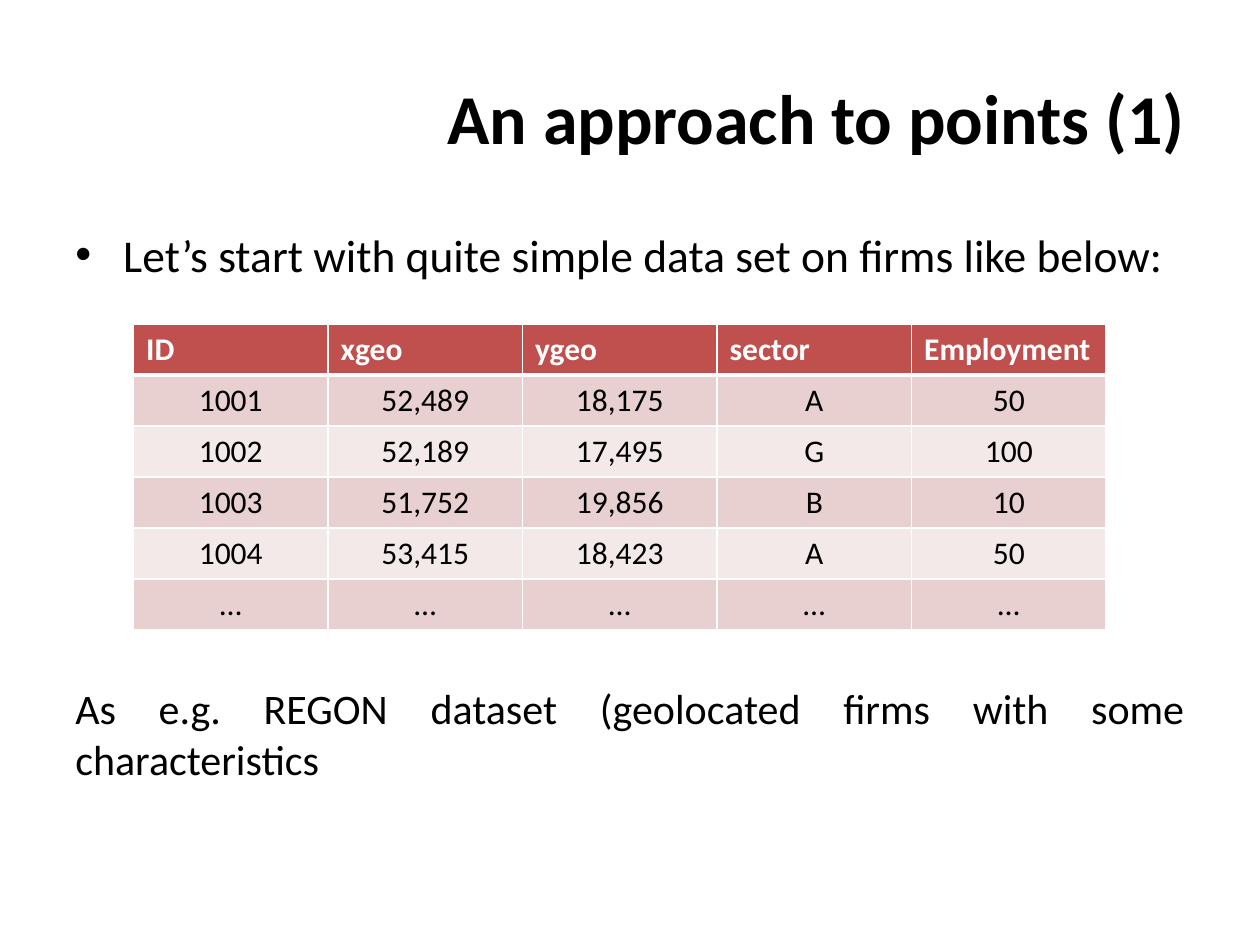
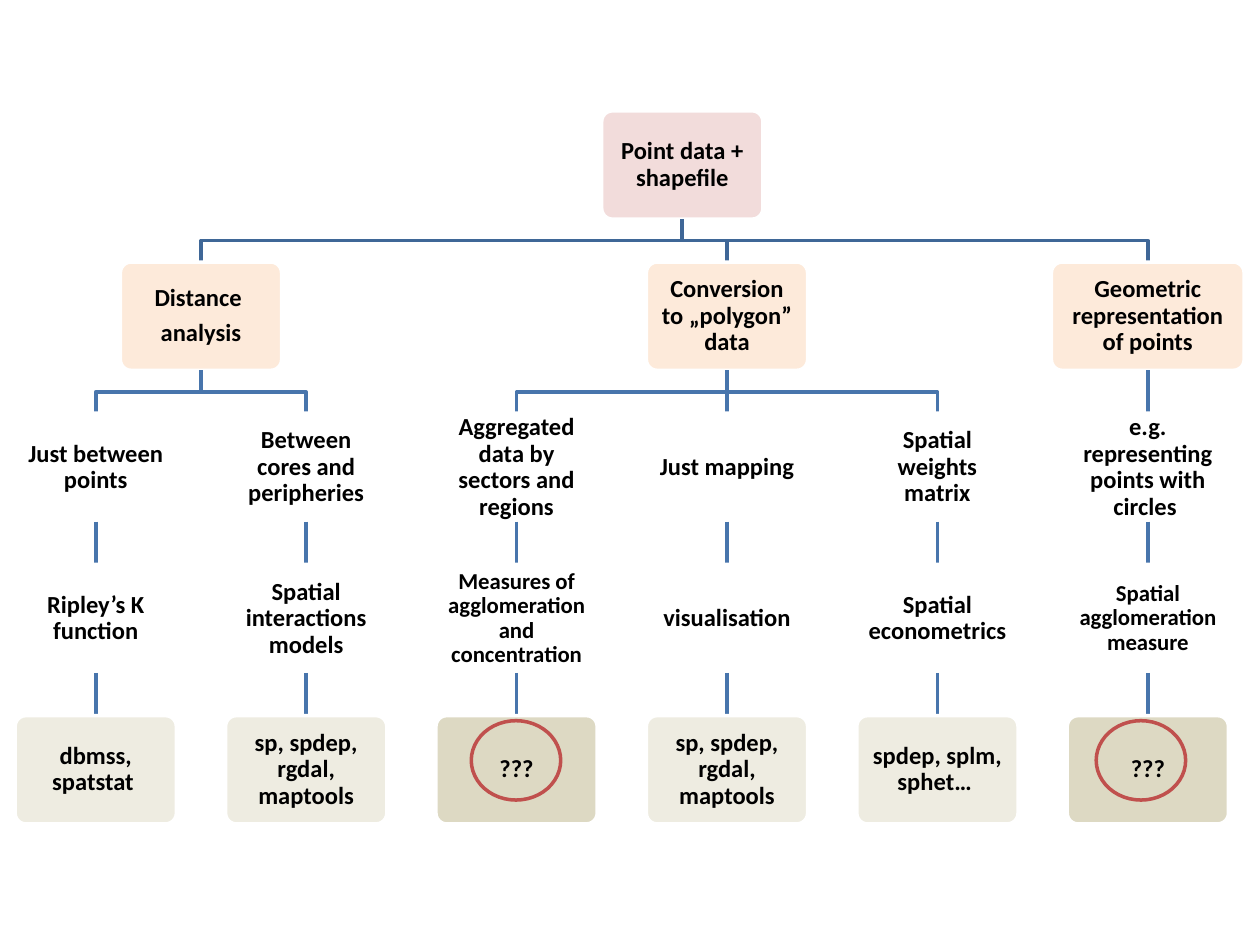
from dataclasses import dataclass, field

from pptx import Presentation
from pptx import util as u
from pptx.dml import color
from pptx.enum import shapes, text
from pptx.oxml import ns
from lxml import etree

FONT = "Calibri"
BLACK, WHITE, RED = "000000", "FFFFFF", "C0504D"
BAND_FILLS = ("E8D0D0", "F4E9E9")
LEVEL_FILLS = ("F2DCDB", "FDEADA", WHITE, WHITE, "EEECE1")
OPEN_QUESTION_FILL = "DDD9C3"
TRUNK, BRANCH = "3F6797", "4875AC"

# Tree grid, in inches
FIRST_CENTRE, COLUMN_STEP = 0.76, 1.67
NODE_WIDTH, NODE_HEIGHT, LEVEL_STEP = 1.28, 0.86, 1.2

FIRMS = (
    ("ID", "xgeo", "ygeo", "sector", "Employment"),
    ("1001", "52,489", "18,175", "A", "50"),
    ("1002", "52,189", "17,495", "G", "100"),
    ("1003", "51,752", "19,856", "B", "10"),
    ("1004", "53,415", "18,423", "A", "50"),
    ("…",) * 5,
)


@dataclass
class Node:
    label: str
    children: list = field(default_factory=list)
    width: float = NODE_WIDTH
    centre: float = 0


def chain(*labels):
    """Nest labels so that each one is the only child of the one before."""
    node = None
    for label in reversed(labels):
        node = Node(label, [node] if node else [])
    return node


TREE = Node("Point data + shapefile", [
    Node("Distance \nanalysis", [
        chain("Just between points", "Ripley’s K function", "dbmss, spatstat "),
        chain("Between cores and peripheries", "Spatial interactions models",
              "sp, spdep, rgdal, maptools"),
    ]),
    Node("Conversion to „polygon” data", [
        chain("Aggregated data by sectors and regions",
              "Measures of agglomeration and concentration", "???"),
        chain("Just mapping", "visualisation", "sp, spdep, rgdal, maptools"),
        chain("Spatial weights matrix", "Spatial econometrics ",
              "spdep, splm, sphet… "),
    ]),
    Node("Geometric representation of points", [
        chain("e.g. representing points with circles ",
              "Spatial agglomeration measure", "???"),
    ], width=1.53),
])


def rgb(value):
    return color.RGBColor.from_string(value)


def inches(*values):
    return [u.Inches(value) for value in values]


def write(frame, content, size, ink=BLACK, bold=False, **paragraph_format):
    """Fill a text frame, one paragraph for each line of content."""
    frame.word_wrap = True
    for index, line in enumerate(content.split("\n")):
        para = frame.add_paragraph() if index else frame.paragraphs[0]
        for name, value in paragraph_format.items():
            setattr(para, name, value)
        span = para.add_run()
        span.text = line
        for name, value in dict(name=FONT, size=u.Pt(size), bold=bold).items():
            setattr(span.font, name, value)
        span.font.color.rgb = rgb(ink)


def add_text(page, box, content, size, anchor=text.MSO_ANCHOR.TOP, **style):
    frame = page.shapes.add_textbox(*inches(*box)).text_frame
    frame.vertical_anchor = anchor
    write(frame, content, size, **style)
    return frame


def add_bullet(para, indent):
    properties = para._p.get_or_add_pPr()
    properties.set("marL", str(u.Inches(indent)))
    properties.set("indent", str(-u.Inches(indent)))
    for tag, attributes in (("a:buFont", {"typeface": "Arial"}),
                            ("a:buChar", {"char": "•"})):
        etree.SubElement(properties, ns.qn(tag), attributes)


def set_borders(cell, bottom):
    """Draw white cell borders; they must come before the fill."""
    properties = cell._tc.get_or_add_tcPr()
    for side, width in dict(lnL=1, lnR=1, lnT=1, lnB=bottom).items():
        line = etree.SubElement(properties, ns.qn(f"a:{side}"), w=str(u.Pt(width)))
        fill = etree.SubElement(line, ns.qn("a:solidFill"))
        etree.SubElement(fill, ns.qn("a:srgbClr"), val=WHITE)


def add_firm_table(page, box):
    table = page.shapes.add_table(len(FIRMS), len(FIRMS[0]), *inches(*box)).table
    for row, values in enumerate(FIRMS):
        header = row == 0
        for column, value in enumerate(values):
            cell = table.cell(row, column)
            set_borders(cell, 3 if header else 1)
            cell.fill.solid()
            cell.fill.fore_color.rgb = rgb(RED if header else BAND_FILLS[(row - 1) % 2])
            write(cell.text_frame, value, 18, WHITE if header else BLACK, header,
                  alignment=text.PP_ALIGN.LEFT if header else text.PP_ALIGN.CENTER)


def style_shape(shape, line, fill=None):
    shape.shadow.inherit = False
    if fill:
        shape.fill.solid()
        shape.fill.fore_color.rgb = rgb(fill)
    else:
        shape.fill.background()
    shape.line.color.rgb = rgb(line)
    shape.line.width = u.Pt(2)


def place(node, columns):
    """Give leaves the next column and centre parents over their children."""
    if not node.children:
        node.centre = FIRST_CENTRE + COLUMN_STEP * next(columns)
        return
    for child in node.children:
        place(child, columns)
    first, last = node.children[0], node.children[-1]
    node.centre = (first.centre - first.width / 2 + last.centre + last.width / 2) / 2


def add_link(page, start, end, top, ink):
    bottom = top + LEVEL_STEP - NODE_HEIGHT
    if abs(start - end) < 0.01:
        link = page.shapes.add_connector(shapes.MSO_CONNECTOR.STRAIGHT,
                                         *inches(start, top, end, bottom))
        etree.SubElement(link._element.spPr, ns.qn("a:effectLst"))
        link.line.color.rgb = rgb(ink)
        link.line.width = u.Pt(2)
        return
    middle = (top + bottom) / 2
    builder = page.shapes.build_freeform(*inches(start, top))
    builder.add_line_segments(
        [inches(start, middle), inches(end, middle), inches(end, bottom)], close=False)
    style_shape(builder.convert_to_shape(), ink)


def add_node(page, node, top, level=0):
    box = (node.centre - node.width / 2, top, node.width, NODE_HEIGHT)
    shape = page.shapes.add_shape(shapes.MSO_SHAPE.ROUNDED_RECTANGLE, *inches(*box))
    shape.adjustments[0] = 0.1
    style_shape(shape, WHITE,
                OPEN_QUESTION_FILL if node.label == "???" else LEVEL_FILLS[level])
    frame = shape.text_frame
    frame.vertical_anchor = text.MSO_ANCHOR.MIDDLE
    for side in ("left", "right", "top", "bottom"):
        setattr(frame, f"margin_{side}", u.Inches(0.06))
    write(frame, node.label, 13 if "agglomeration" in node.label else 14, bold=True,
          alignment=text.PP_ALIGN.CENTER, line_spacing=0.9, space_after=u.Pt(5))
    for child in node.children:
        add_link(page, node.centre, child.centre, top + NODE_HEIGHT,
                 BRANCH if level else TRUNK)
        add_node(page, child, top + LEVEL_STEP, level + 1)


def add_ring(page, left, top):
    ring = page.shapes.add_shape(shapes.MSO_SHAPE.OVAL, *inches(left, top, 0.71, 0.63))
    style_shape(ring, RED)


def build_data_page(page):
    add_text(page, (0.5, 0.3, 9, 1.25), "An approach to points (1)", 40,
             text.MSO_ANCHOR.MIDDLE, bold=True, alignment=text.PP_ALIGN.RIGHT)
    intro = add_text(page, (0.5, 1.75, 9, 0.6),
                     "Let’s start with quite simple data set on firms like below:", 26)
    add_bullet(intro.paragraphs[0], 0.38)
    add_firm_table(page, (1.06, 2.57, 7.72, 2.43))
    add_text(page, (0.5, 5.37, 9, 1),
             "As e.g. REGON dataset (geolocated firms with some characteristics",
             24, alignment=text.PP_ALIGN.JUSTIFY)


def build_tree_page(page):
    place(TREE, iter(range(6)))
    add_node(page, TREE, 0.88)
    for left in (3.74, 8.7):
        add_ring(page, left, 5.72)


def main():
    deck = Presentation()
    deck.slide_width, deck.slide_height = inches(10, 7.5)
    for build in (build_data_page, build_tree_page):
        build(deck.slides.add_slide(deck.slide_layouts[6]))
    deck.save("out.pptx")


if __name__ == "__main__":
    main()
